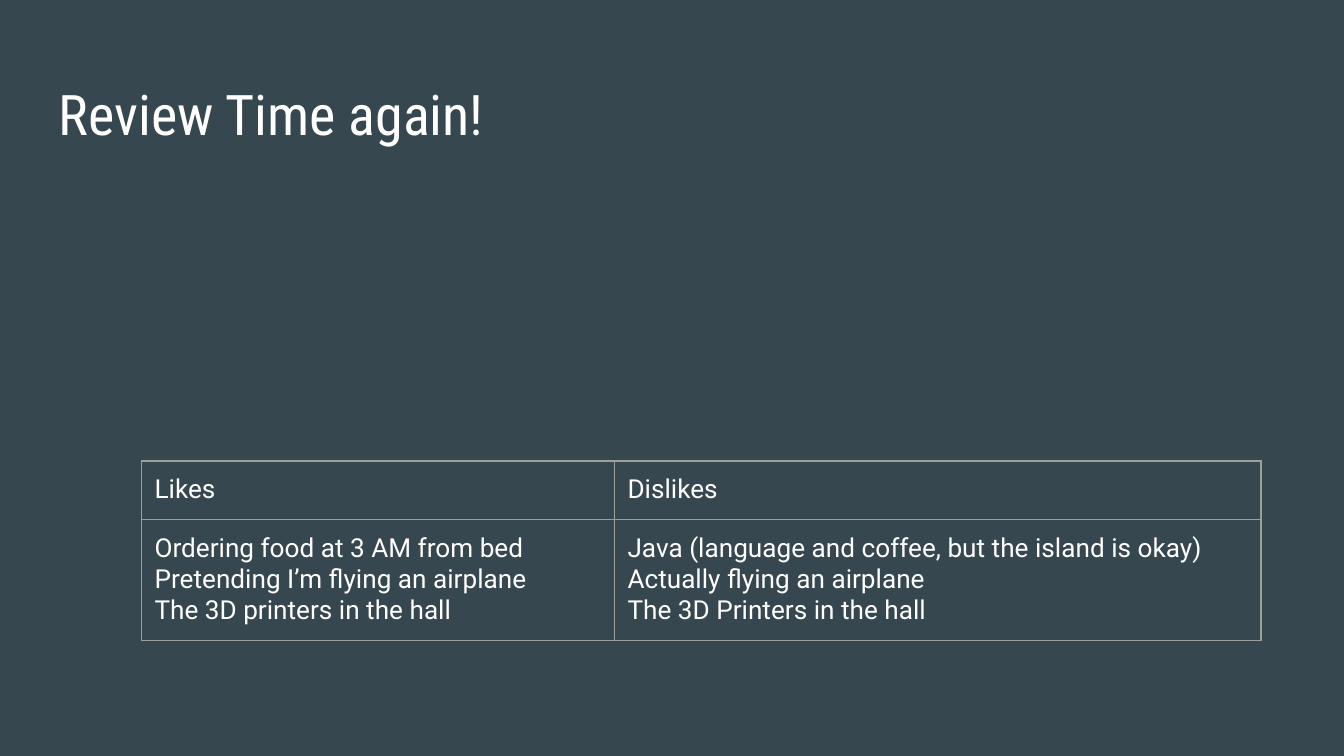
from lxml import etree
from pptx import Presentation
from pptx.dml.color import RGBColor
from pptx.enum.text import MSO_ANCHOR as Anchor
from pptx.oxml.ns import qn
from pptx.util import Pt

WHITE, SLATE, GREY = "FFFFFF", "37474F", "9E9E9E"
INSET = Pt(7.2)


def color(hex_code):
    return RGBColor.from_string(hex_code)


def write(frame, text, font="Roboto", size=14):
    """Fill a text frame, one paragraph for each line of text."""
    frame.word_wrap = True
    frame.text = text
    for paragraph in frame.paragraphs:
        style = paragraph.runs[0].font
        style.name, style.size = font, Pt(size)
        style.color.rgb = color(WHITE)


deck = Presentation()
deck.slide_width, deck.slide_height = Pt(720), Pt(405)
slide = deck.slides.add_slide(deck.slide_layouts[6])
slide.background.fill.solid()
slide.background.fill.fore_color.rgb = color(SLATE)

title = slide.shapes.add_textbox(Pt(24.5), Pt(35.3), Pt(671), Pt(45.4)).text_frame
title.margin_left = title.margin_right = INSET
title.margin_top = title.margin_bottom = INSET
title.vertical_anchor = Anchor.TOP
write(title, "Review Time again!", font="Roboto Condensed", size=30)

opinions = [
    ["Likes", "Dislikes"],
    [
        "Ordering food at 3 AM from bed\n"
        "Pretending I’m flying an airplane\n"
        "The 3D printers in the hall",
        "Java (language and coffee, but the island is okay)\n"
        "Actually flying an airplane\n"
        "The 3D Printers in the hall",
    ],
]
column_widths = [253.4, 346.6]
row_heights = [31, 64]

review = slide.shapes.add_table(
    2, 2, Pt(75.6), Pt(247), Pt(sum(column_widths)), Pt(sum(row_heights))
).table
review.first_row = review.horz_banding = False
for column, width in zip(review.columns, column_widths):
    column.width = Pt(width)
for row, height, texts in zip(review.rows, row_heights, opinions):
    row.height = Pt(height)
    for cell, text in zip(row.cells, texts):
        cell.margin_left = cell.margin_right = INSET
        cell.margin_top = cell.margin_bottom = INSET
        write(cell.text_frame, text)
        properties = cell._tc.get_or_add_tcPr()
        for side in ("lnL", "lnR", "lnT", "lnB"):
            border = etree.SubElement(properties, qn(f"a:{side}"), w=str(Pt(0.75)))
            paint = etree.SubElement(border, qn("a:solidFill"))
            etree.SubElement(paint, qn("a:srgbClr"), val=GREY)
        cell.fill.background()

deck.save("out.pptx")
